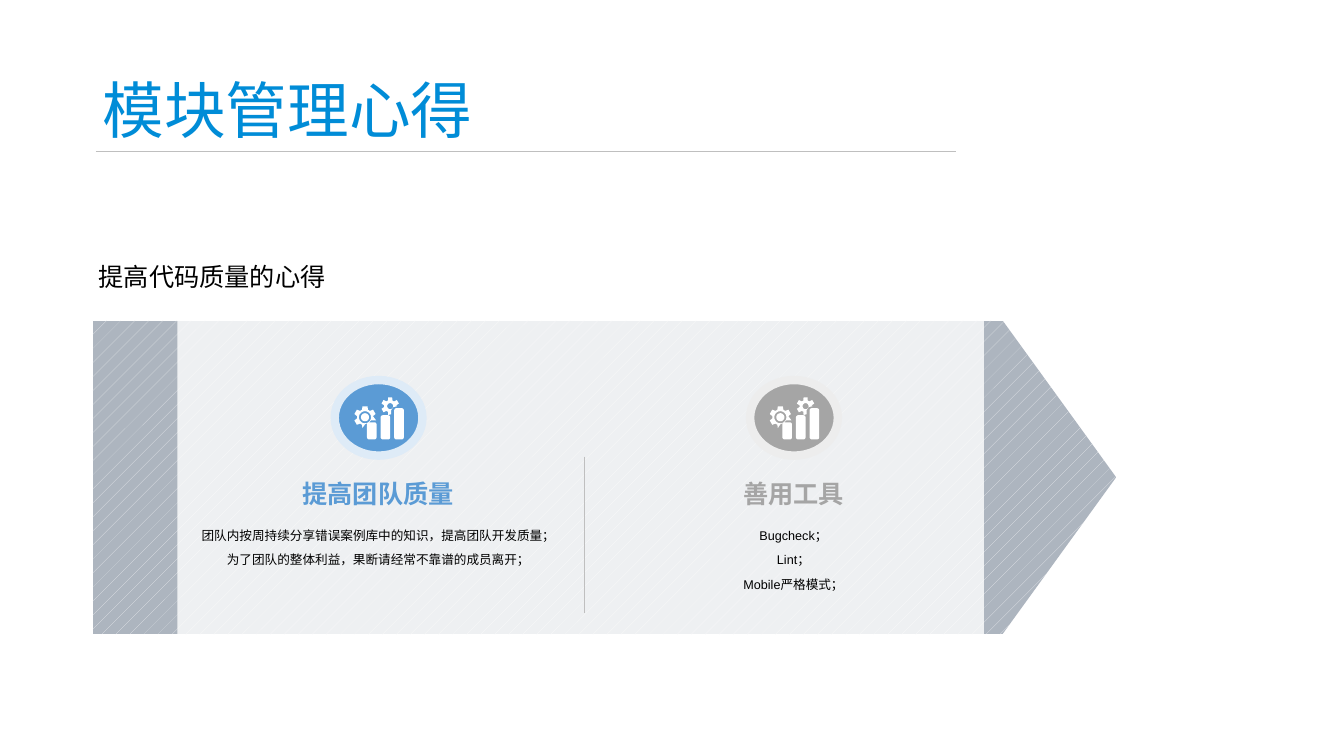
"""Build the module management insights slide with two cards on a banner arrow."""
from dataclasses import dataclass
from math import cos, radians, sin

from lxml import etree
from pptx import Presentation
from pptx.dml.color import RGBColor
from pptx.enum.dml import MSO_PATTERN
from pptx.enum.shapes import MSO_CONNECTOR, MSO_SHAPE
from pptx.enum.text import MSO_ANCHOR, PP_ALIGN
from pptx.oxml.ns import qn
from pptx.util import Inches, Pt

LEFT, CENTER = PP_ALIGN.LEFT, PP_ALIGN.CENTER
TOP, MIDDLE = MSO_ANCHOR.TOP, MSO_ANCHOR.MIDDLE
DOTTED = MSO_PATTERN.PERCENT_5
STRAIGHT = MSO_CONNECTOR.STRAIGHT
PENTAGON, RECTANGLE, OVAL = MSO_SHAPE.PENTAGON, MSO_SHAPE.RECTANGLE, MSO_SHAPE.OVAL
CHINESE_FONT = "Noto Sans CJK SC"
BLACK, WHITE, RULE_GRAY = "000000", "FFFFFF", "BFBFBF"
UNITS_PER_INCH = 1000

Point = tuple[float, float]
Box = tuple[float, float, float, float]


@dataclass
class TextStyle:
    size: float
    color: str = BLACK
    font: str = "Arial"
    bold: bool = False
    align: PP_ALIGN = LEFT
    anchor: MSO_ANCHOR = TOP
    spacing: float = 1.0
    wrap: bool = True


@dataclass
class Card:
    left: float
    heading: str
    body: str
    color: str
    halo: str


@dataclass
class Gear:
    x: float
    y: float
    tip: float
    root: float
    hole: float
    hub: float
    notch: list[Point]


CARDS = [
    Card(1.85, "提高团队质量",
         "团队内按周持续分享错误案例库中的知识，提高团队开发质量；\n"
         "为了团队的整体利益，果断请经常不靠谱的成员离开；", "5B9BD5", "DEEBF7"),
    Card(5.97, "善用工具", "Bugcheck；\nLint；\nMobile严格模式；", "A5A5A5", "EDEDED"),
]
GEARS = [
    Gear(1.77, 4.14, 0.11, 0.08, 0.06, 0.04,
         [(0.11, 0.03), (0.06, 0.03), (0.04, 0.05), (0, 0.07)]),
    Gear(2.02, 4.03, 0.09, 0.06, 0.03, 0,
         [(0.07, 0), (0.03, 0.01), (0.01, 0.04), (0.01, 0.08)]),
]


def rgb(color: str) -> RGBColor:
    return RGBColor.from_string(color)


def lengths(box: Box) -> list[Inches]:
    return [Inches(value) for value in box]


def add_text(slide, box: Box, text: str, style: TextStyle) -> None:
    text_frame = slide.shapes.add_textbox(*lengths(box)).text_frame
    text_frame.word_wrap = style.wrap
    text_frame.vertical_anchor = style.anchor
    text_frame.text = text
    for paragraph in text_frame.paragraphs:
        paragraph.alignment = style.align
        paragraph.line_spacing = style.spacing
        for run in paragraph.runs:
            run.font.size = Pt(style.size)
            run.font.bold = style.bold
            run.font.name = style.font
            run.font.color.rgb = rgb(style.color)
            east_asian = etree.SubElement(run.font._element, qn("a:ea"))
            east_asian.set("typeface", CHINESE_FONT)


def add_filled(slide, kind: MSO_SHAPE, box: Box, color: str):
    shape = slide.shapes.add_shape(kind, *lengths(box))
    shape.shadow.inherit = False
    shape.fill.solid()
    shape.fill.fore_color.rgb = rgb(color)
    shape.line.fill.background()
    return shape


def add_rule(slide, start: Point, end: Point) -> None:
    line = slide.shapes.add_connector(STRAIGHT, *lengths((*start, *end)))
    line.line.color.rgb = rgb(RULE_GRAY)
    line.line.width = Pt(0.25)
    etree.SubElement(line._element.spPr, qn("a:effectLst"))


def polar(x: float, y: float, radius: float, angle: float) -> Point:
    return x + radius * cos(radians(angle)), y + radius * sin(radians(angle))


def circle(x: float, y: float, radius: float) -> list[Point]:
    return [polar(x, y, radius, angle) for angle in range(0, 360, 15)]


def rounded_bar(left: float, top: float, width: float, bottom: float) -> list[Point]:
    radius = 0.02
    right = left + width - radius
    corners = [(right, bottom - radius), (left + radius, bottom - radius),
               (left + radius, top + radius), (right, top + radius)]
    return [polar(x, y, radius, 90 * index + turn)
            for index, (x, y) in enumerate(corners) for turn in range(0, 91, 30)]


def gear_outlines(gear: Gear) -> list[list[Point]]:
    profile = [(-22, gear.root), (-13, gear.tip), (13, gear.tip), (22, gear.root)]
    teeth = [polar(gear.x, gear.y, radius, bearing + turn)
             for bearing in range(90, 331, 60) for turn, radius in profile]
    notch = [(gear.x + x, gear.y + y) for x, y in gear.notch]
    outlines = [teeth[2:] + notch, circle(gear.x, gear.y, gear.hole)]
    if gear.hub:
        outlines.append(circle(gear.x, gear.y, gear.hub))
    return outlines


def add_icon(slide, left: float) -> None:
    outlines = [rounded_bar(1.79 + 0.135 * index, 4.19 - 0.07 * index, 0.095, 4.36)
                for index in range(3)]
    for gear in GEARS:
        outlines += gear_outlines(gear)
    builder = slide.shapes.build_freeform(scale=Inches(1) / UNITS_PER_INCH)
    for outline in outlines:
        points = [((left + x) * UNITS_PER_INCH, y * UNITS_PER_INCH) for x, y in outline]
        builder.move_to(*points[0])
        builder.add_line_segments(points[1:], close=True)
    shape = builder.convert_to_shape()
    shape.shadow.inherit = False
    shape.fill.solid()
    shape.fill.fore_color.rgb = rgb(WHITE)
    shape.line.fill.background()


def add_banner(slide) -> None:
    arrow = add_filled(slide, PENTAGON, (0.92, 3.18, 10.15, 3.11), "ADB5BF")
    arrow.adjustments[0] = 0.362
    arrow.fill.patterned()
    arrow.fill.pattern = DOTTED
    arrow.fill.fore_color.rgb = rgb("E4E6EA")
    arrow.fill.back_color.rgb = rgb("ADB5BF")
    panel = add_filled(slide, RECTANGLE, (1.76, 3.16, 8, 3.13), WHITE)
    color = panel._element.spPr.find(qn("a:solidFill"))[0]
    etree.SubElement(color, qn("a:alpha")).set("val", "80000")


def add_card(slide, card: Card) -> None:
    badge = add_filled(slide, OVAL, (card.left + 1.47, 3.77, 0.87, 0.75), card.color)
    badge.line.color.rgb = rgb(card.halo)
    badge.line.width = Pt(6)
    add_icon(slide, card.left)
    add_text(slide, (card.left, 5.1, 3.8, 0.97), card.body,
             TextStyle(9, align=CENTER, spacing=1.6))
    add_text(slide, (card.left, 4.7, 3.8, 0.4), card.heading,
             TextStyle(18, card.color, bold=True, align=CENTER, wrap=False))


def main() -> None:
    presentation = Presentation()
    presentation.slide_width, presentation.slide_height = Inches(13.33), Inches(7.5)
    slide = presentation.slides.add_slide(presentation.slide_layouts[6])
    add_text(slide, (0.92, 0.4, 11.5, 1.45), "模块管理心得",
             TextStyle(44, "008CD7", CHINESE_FONT, anchor=MIDDLE, spacing=0.9))
    add_banner(slide)
    for card in CARDS:
        add_card(slide, card)
    add_rule(slide, (5.79, 4.53), (5.79, 6.08))
    add_rule(slide, (0.95, 1.5), (9.48, 1.5))
    add_text(slide, (0.88, 2.54, 2.47, 0.4), "提高代码质量的心得", TextStyle(18, wrap=False))
    presentation.save("out.pptx")


if __name__ == "__main__":
    main()
